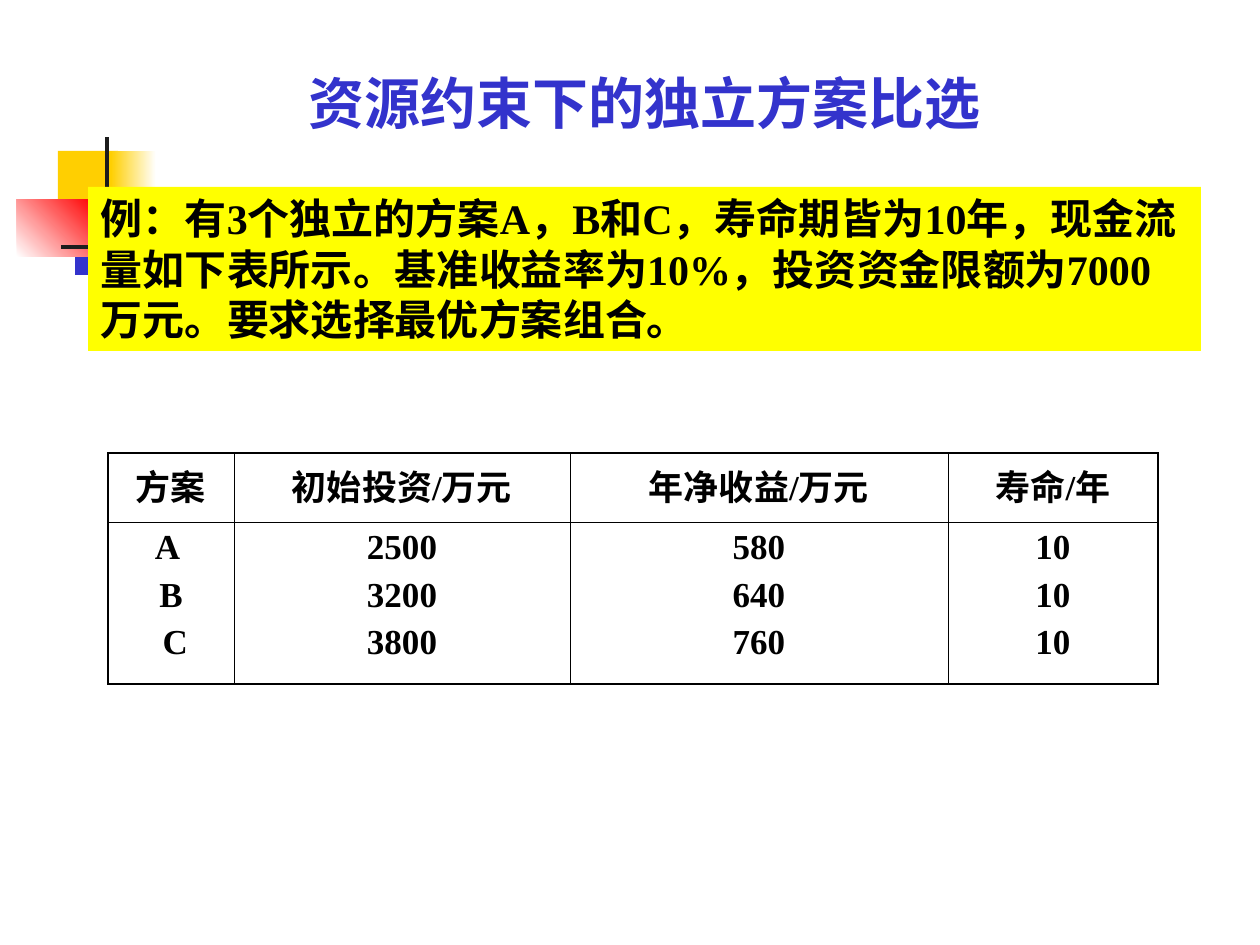
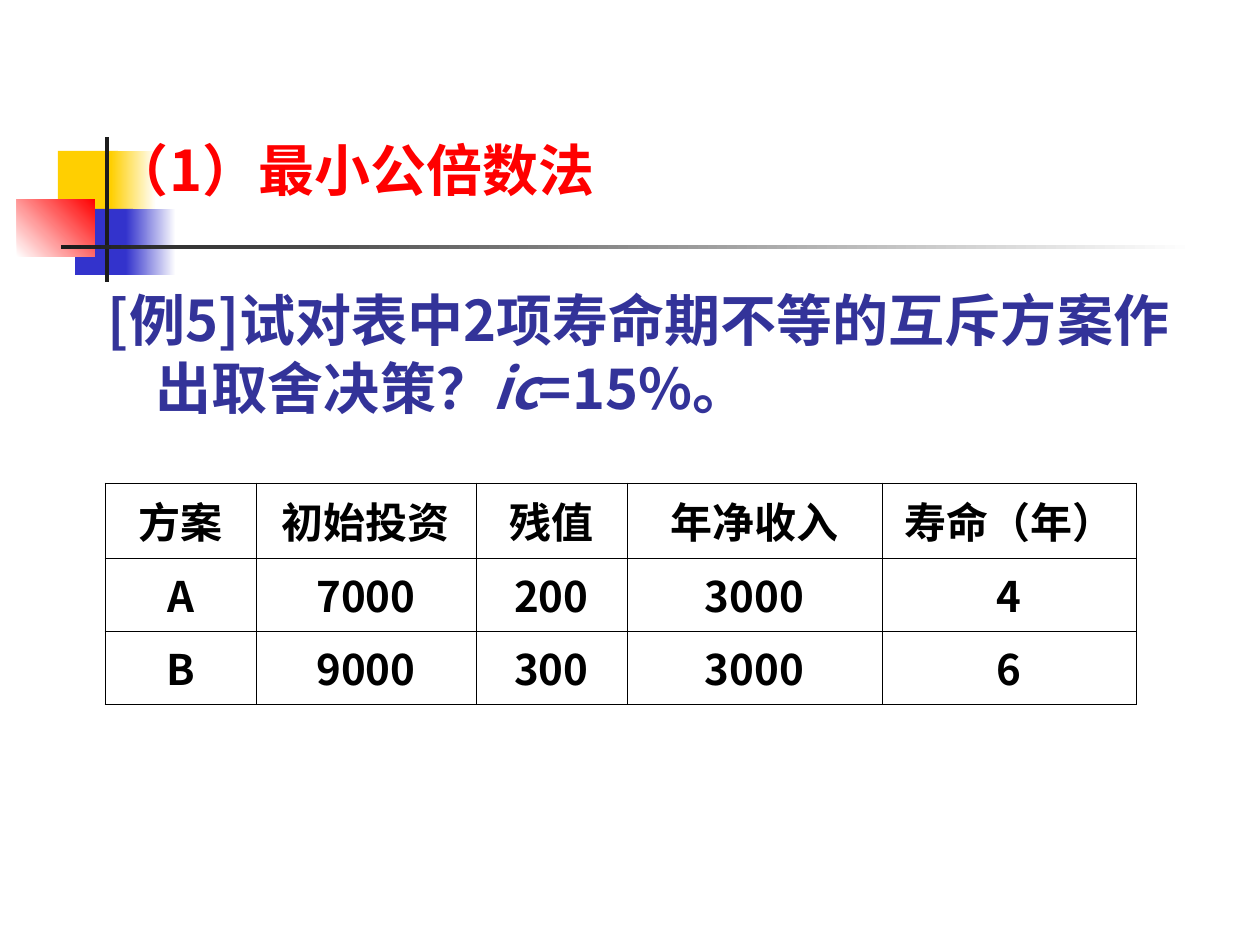
from lxml import etree
from pptx import Presentation
from pptx.dml.color import RGBColor
from pptx.enum.shapes import MSO_SHAPE
from pptx.enum.text import MSO_ANCHOR, PP_ALIGN
from pptx.oxml.ns import qn
from pptx.util import Pt

RECT = MSO_SHAPE.RECTANGLE
TOP, MIDDLE = MSO_ANCHOR.TOP, MSO_ANCHOR.MIDDLE
LEFT, CENTER = PP_ALIGN.LEFT, PP_ALIGN.CENTER

BLACK = RGBColor(0x00, 0x00, 0x00)
WHITE = RGBColor(0xFF, 0xFF, 0xFF)
INK = RGBColor(0x1C, 0x1C, 0x1C)
GOLD = RGBColor(0xFF, 0xCF, 0x01)
YELLOW = RGBColor(0xFF, 0xFF, 0x00)
RED = RGBColor(0xFF, 0x00, 0x00)
BLUE = RGBColor(0x33, 0x33, 0xCC)
NAVY = RGBColor(0x33, 0x33, 0x99)

SERIF, SANS = "Times New Roman", "Noto Sans CJK SC"
PAD, NO_PAD = (13, 6), (0, 0)
THIN, THICK = 0.45, 1.08


def px(n):
    return round(n * 914400 / 126)


def style(run, size, face, color, italic=False):
    font = run.font
    values = {"name": face, "size": Pt(size), "bold": True, "italic": italic}
    for key, value in values.items():
        setattr(font, key, value)
    font.color.rgb = color
    asian = etree.SubElement(run._r.get_or_add_rPr(), qn("a:ea"))
    asian.set("typeface", SANS)


def write(frame, lines, size, face, color, align=LEFT, gap=0):
    """Fill a frame; each line is a list of (text, italic) runs."""
    for i, line in enumerate(lines):
        para = frame.paragraphs[0] if i == 0 else frame.add_paragraph()
        para.alignment = align
        para.space_before = Pt(gap if i else 0)
        for text, italic in line:
            run = para.add_run()
            run.text = text
            style(run, size, face, color, italic)


def set_frame(frame, pad=PAD, anchor=TOP):
    side, edge = map(px, pad)
    values = {"word_wrap": True, "vertical_anchor": anchor,
              "margin_left": side, "margin_right": side,
              "margin_top": edge, "margin_bottom": edge}
    for key, value in values.items():
        setattr(frame, key, value)


def add_rect(slide, box, color, fade=None, angle=0):
    """Draw a plain block, or a gradient one when a fade colour is given."""
    shape = slide.shapes.add_shape(RECT, *map(px, box))
    shape.shadow.inherit = False
    shape.line.fill.background()
    if fade is None:
        shape.fill.solid()
        shape.fill.fore_color.rgb = color
    else:
        shape.fill.gradient()
        shape.fill.gradient_angle = angle
        for stop, tone in zip(shape.fill.gradient_stops, (color, fade)):
            stop.color.rgb = tone
    return shape


def add_text(slide, box, runs, size, face, color,
             align=LEFT, pad=PAD, anchor=TOP, hang=0):
    frame = slide.shapes.add_textbox(*map(px, box)).text_frame
    set_frame(frame, pad, anchor)
    write(frame, [runs], size, face, color, align)
    if hang:
        props = frame.paragraphs[0]._p.get_or_add_pPr()
        props.set("marL", str(px(hang)))
        props.set("indent", str(-px(hang)))


def add_title(slide, box, text, face, color, **layout):
    add_text(slide, box, [(text, False)], 32, face, color, **layout)


def set_edge(cell, side, width):
    line = etree.SubElement(cell._tc.get_or_add_tcPr(), qn("a:ln" + side))
    line.set("w", str(Pt(width)))
    fill = etree.SubElement(line, qn("a:solidFill"))
    etree.SubElement(fill, qn("a:srgbClr")).set("val", str(BLACK))


def add_grid(slide, at, cols, rows, data, size, face, frame_width, anchor):
    """Add a ruled table; a line break in a value starts a new paragraph."""
    box = (*at, sum(cols), sum(rows))
    table = slide.shapes.add_table(len(rows), len(cols), *map(px, box)).table
    table.first_row = table.horz_banding = False
    for col, width in zip(table.columns, cols):
        col.width = px(width)
    for row, height in zip(table.rows, rows):
        row.height = px(height)
    for r, values in enumerate(data):
        for c, value in enumerate(values):
            cell = table.cell(r, c)
            outer = {"L": c == 0, "R": c == len(cols) - 1,
                     "T": r == 0, "B": r == len(rows) - 1}
            for side, on_rim in outer.items():
                set_edge(cell, side, frame_width if on_rim else THIN)
            cell.fill.background()
            set_frame(cell.text_frame)
            cell.vertical_anchor = anchor
            lines = [[(text, False)] for text in value.split("\n")]
            write(cell.text_frame, lines, size, face, BLACK, CENTER, gap=5)


def add_motif(slide, blue_fade=True):
    """Draw the coloured blocks and the two rules that all slides share."""
    add_rect(slide, (58, 151, 60, 66), GOLD)
    add_rect(slide, (111, 151, 45, 66), GOLD, WHITE)
    add_rect(slide, (75, 209, 58, 66), BLUE)
    if blue_fade:
        add_rect(slide, (126, 209, 50, 66), BLUE, WHITE)
    add_rect(slide, (17, 199, 78, 58), WHITE, RED, angle=45)
    add_rect(slide, (105, 137, 4, 145), INK)
    add_rect(slide, (61, 245, 1134, 4), INK, WHITE)


def build_budget(slide):
    add_motif(slide, blue_fade=False)
    add_title(slide, (15, 62, 1260, 81), "资源约束下的独立方案比选",
              SERIF, BLUE, align=CENTER)

    # Problem statement
    panel = add_rect(slide, (88, 187, 1113, 164), YELLOW).text_frame
    set_frame(panel)
    task = ("例：有3个独立的方案A，B和C，寿命期皆为10年，现金流量如下表所示。"
            "基准收益率为10%，投资资金限额为7000万元。要求选择最优方案组合。")
    write(panel, [[(task, False)]], 24, SERIF, BLACK)

    # Cash flows
    data = [("方案", "初始投资/万元", "年净收益/万元", "寿命/年"),
            ("A \nB\n C", "2500\n3200\n3800", "580\n640\n760", "10\n10\n10")]
    add_grid(slide, (108, 453), (126, 336, 378, 210), (69, 162), data,
             20, SERIF, THICK, TOP)


def build_multiple(slide):
    add_motif(slide)
    add_title(slide, (113, 106, 1119, 126), "（1）最小公倍数法",
              SANS, RED, pad=NO_PAD, anchor=MIDDLE)

    # Problem statement
    runs = [("[例5]试对表中2项寿命期不等的互斥方案作出取舍决策？", False),
            ("ic", True), ("=15%。", False)]
    add_text(slide, (95, 280, 1111, 164), runs, 32, SANS, NAVY, hang=48)

    # Cash flows
    data = [("方案", "初始投资", "残值", "年净收入", "寿命（年）"),
            ("A", "7000", "200", "3000", "4"),
            ("B", "9000", "300", "3000", "6")]
    add_grid(slide, (105, 483), (151, 220, 151, 255, 255), (75, 73, 73), data,
             24, SANS, THIN, MIDDLE)


def main():
    deck = Presentation()
    deck.slide_width, deck.slide_height = px(1260), px(945)
    blank = deck.slide_layouts[6]
    for build in (build_budget, build_multiple):
        build(deck.slides.add_slide(blank))
    deck.save("out.pptx")


if __name__ == "__main__":
    main()
